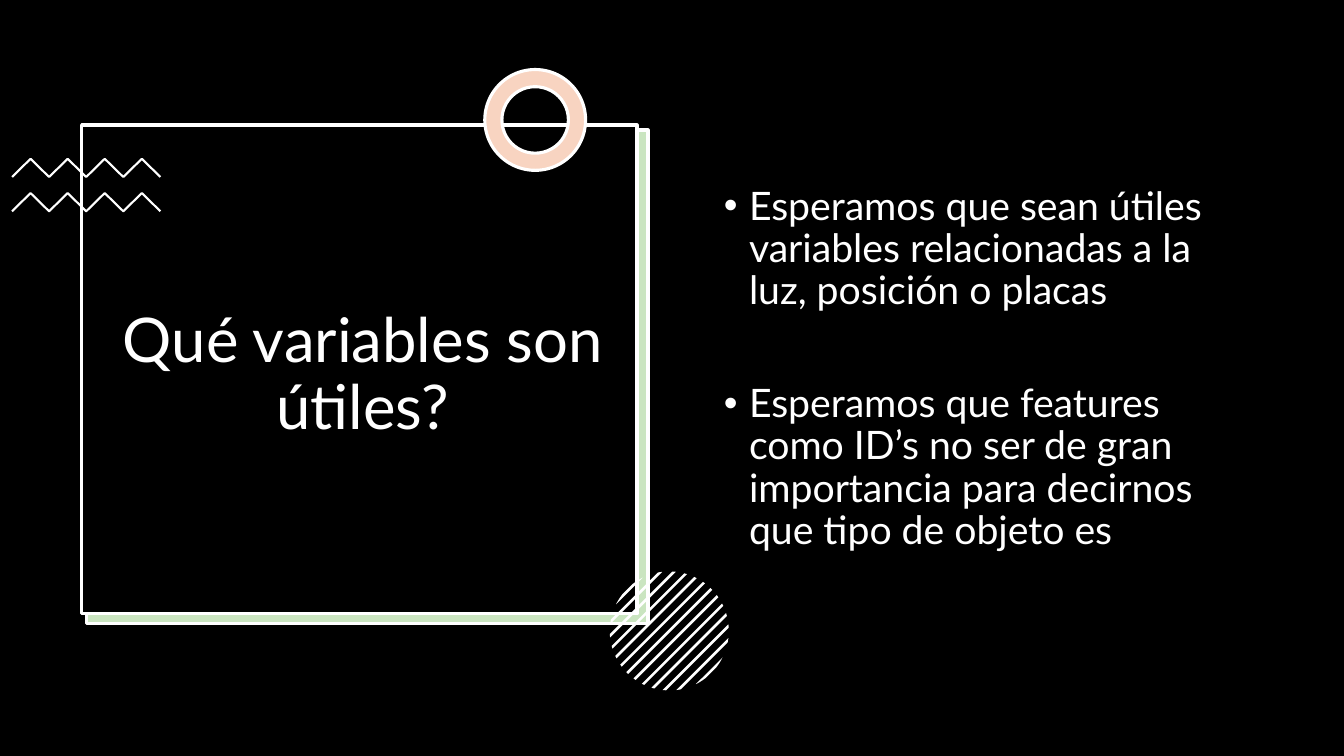
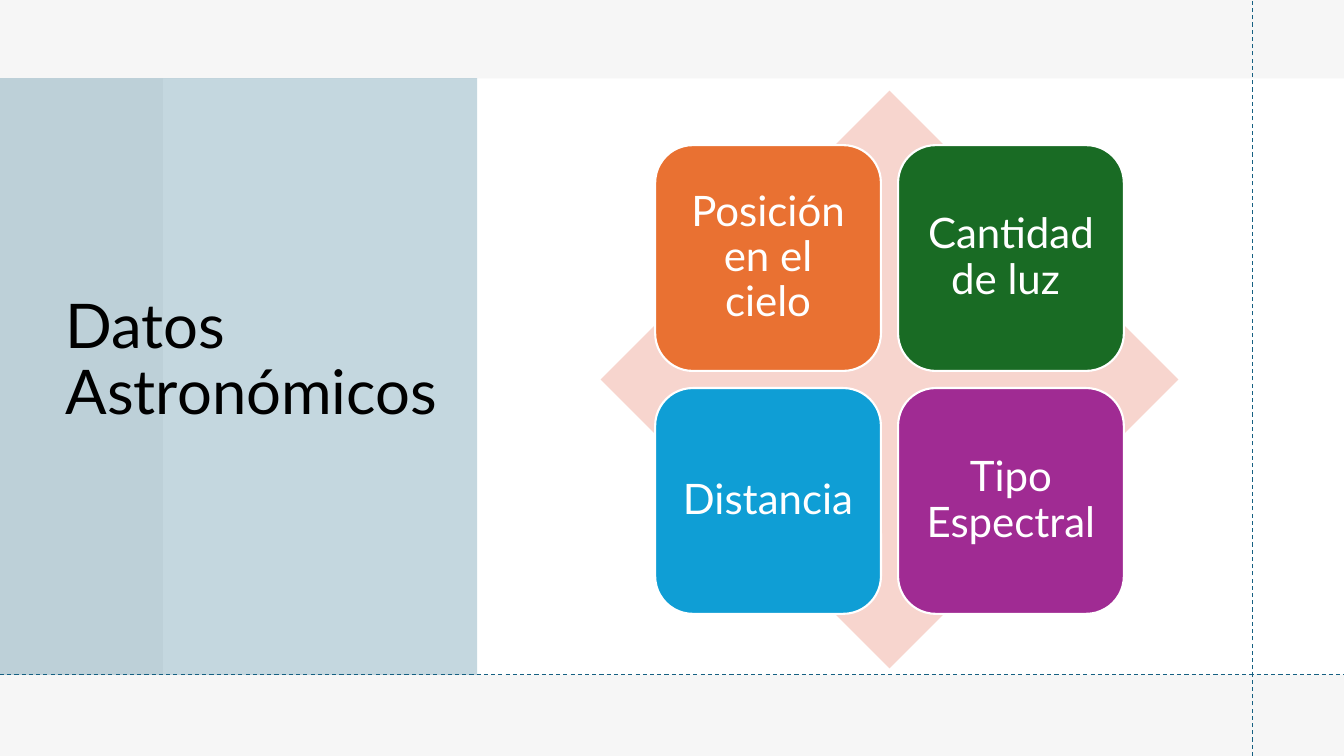
"""Build two slides about useful variables and astronomical data."""
from math import sqrt
from lxml.etree import SubElement
from pptx import Presentation
from pptx.dml.color import RGBColor
from pptx.enum.dml import MSO_LINE
from pptx.enum.shapes import MSO_CONNECTOR, MSO_SHAPE
from pptx.enum.text import MSO_ANCHOR, MSO_AUTO_SIZE, PP_ALIGN
from pptx.oxml.ns import qn
from pptx.util import Pt

USEFUL_TITLE = "Qué variables son útiles?"
EXPECTATIONS = [
    "Esperamos que sean útiles variables relacionadas a la luz, posición o placas",
    "Esperamos que features como ID’s no ser de gran importancia para decirnos que tipo de objeto es",
]
DATA_TITLE = "Datos Astronómicos"
DATA_KINDS = [
    ("Posición en el cielo", "E97132"),
    ("Cantidad de luz ", "196B24"),
    ("Distancia", "0F9ED5"),
    ("Tipo Espectral", "A02B93"),
]

WIDTH, HEIGHT = 960, 540
FONT = "Lato"
TITLE_SIZE = 44
WHITE, BLACK = "FFFFFF", "000000"
GREEN, PEACH, PINK = "CAE5C0", "F8D4C1", "F7D5CE"
BAND, BLUE = "F6F6F6", "156082"

FRAME_SHADOW = (61.9, 92.9, 401, 352.8)
FRAME = (58.3, 89.3, 396.7, 349.2)
RING = (346.3, 49.7, 72, 72)
ZIGZAG = {"left": 8.6, "tops": (113.4, 137.9), "step": 13.25, "rise": 13, "points": 9}
HATCH = {"center": (478.1, 450.7), "radius": 42.5, "pitch": 6.87, "width": 1.85, "side": 6}
DIAMOND_SIZE, TILE_SIZE, TILE_GAP = 412.6, 161.3, 12.2
GRID_CENTER = (635.4, 271.1)


def color(hex_text):
    return RGBColor.from_string(hex_text)


def points(*lengths):
    return [Pt(length) for length in lengths]


def paint(shape, fill=None, line=None, weight=0):
    shape.shadow.inherit = False
    if fill:
        shape.fill.solid()
        shape.fill.fore_color.rgb = color(fill)
    else:
        shape.fill.background()
    if line:
        shape.line.color.rgb = color(line)
        shape.line.width = Pt(weight)
    else:
        shape.line.fill.background()
    return shape


def add_preset(slide, preset, box, fill, line=None, weight=0):
    return paint(slide.shapes.add_shape(preset, *points(*box)), fill, line, weight)


def add_outline(slide, corners, closed, **look):
    first, *rest = [points(*corner) for corner in corners]
    builder = slide.shapes.build_freeform(*first, scale=1.0)
    builder.add_line_segments(rest, close=closed)
    return paint(builder.convert_to_shape(), **look)


def set_background(slide, fill):
    slide.background.fill.solid()
    slide.background.fill.fore_color.rgb = color(fill)


def style_paragraph(paragraph, size, ink, align):
    paragraph.alignment = align
    paragraph.line_spacing = 0.9
    paragraph.space_before = paragraph.space_after = Pt(0)
    for run in paragraph.runs:
        run.font.name = FONT
        run.font.size = Pt(size)
        run.font.color.rgb = color(ink)


def place(slide, placeholder, box, anchor):
    placeholder.left, placeholder.top, placeholder.width, placeholder.height = points(*box)
    slide.shapes.element.append(placeholder.element)
    frame = placeholder.text_frame
    frame.auto_size = MSO_AUTO_SIZE.NONE
    frame.word_wrap = True
    frame.vertical_anchor = anchor
    return frame


def add_title(slide, wording, box, ink, align):
    frame = place(slide, slide.shapes.title, box, MSO_ANCHOR.MIDDLE)
    frame.text = wording
    style_paragraph(frame.paragraphs[0], TITLE_SIZE, ink, align)


def add_bullets(slide, items, box):
    frame = place(slide, slide.placeholders[1], box, MSO_ANCHOR.TOP)
    for index, item in enumerate(items):
        paragraph = frame.add_paragraph() if index else frame.paragraphs[0]
        paragraph.text = item
        properties = paragraph._p.get_or_add_pPr()
        properties.set("marL", str(Pt(18)))
        properties.set("indent", str(-Pt(18)))
        SubElement(properties, qn("a:buFont"), typeface="Arial")
        SubElement(properties, qn("a:buChar"), char="•")
        style_paragraph(paragraph, 28, WHITE, PP_ALIGN.LEFT)
        if index:
            paragraph.space_before = Pt(50.25)


def add_zigzags(slide):
    for top in ZIGZAG["tops"]:
        corners = [
            (ZIGZAG["left"] + i * ZIGZAG["step"], top + ZIGZAG["rise"] * (1 - i % 2))
            for i in range(ZIGZAG["points"])
        ]
        add_outline(slide, corners, False, line=WHITE, weight=1.5)


def add_hatched_circle(slide):
    (x, y), radius = HATCH["center"], HATCH["radius"]

    def rim(offset, end):
        half = end * sqrt(radius**2 - offset**2)
        return x + (offset + half) / sqrt(2), y + (offset - half) / sqrt(2)

    for stripe in range(-HATCH["side"], HATCH["side"] + 1):
        offsets = [stripe * HATCH["pitch"] + HATCH["width"] * k / 4 for k in range(-2, 3)]
        corners = [rim(offset, 1) for offset in offsets]
        corners += [rim(offset, -1) for offset in reversed(offsets)]
        add_outline(slide, corners, True, fill=WHITE)


def add_guide(slide, ends):
    guide = slide.shapes.add_connector(MSO_CONNECTOR.STRAIGHT, *points(*ends))
    guide.line.color.rgb = color(BLUE)
    guide.line.width = Pt(0.75)
    guide.line.dash_style = MSO_LINE.DASH
    SubElement(guide.element.spPr, qn("a:effectLst"))


def add_tiles(slide):
    center_x, center_y = GRID_CENTER
    half = DIAMOND_SIZE / 2
    add_preset(slide, MSO_SHAPE.DIAMOND,
               (center_x - half, center_y - half, DIAMOND_SIZE, DIAMOND_SIZE), PINK)
    pitch = TILE_SIZE + TILE_GAP
    reach = TILE_SIZE + TILE_GAP / 2
    for index, (kind, fill) in enumerate(DATA_KINDS):
        row, column = divmod(index, 2)
        box = (center_x - reach + column * pitch, center_y - reach + row * pitch,
               TILE_SIZE, TILE_SIZE)
        tile = add_preset(slide, MSO_SHAPE.ROUNDED_RECTANGLE, box, fill, WHITE, 1.5)
        frame = tile.text_frame
        frame.word_wrap = True
        frame.vertical_anchor = MSO_ANCHOR.MIDDLE
        frame.margin_left = frame.margin_right = Pt(8.5)
        frame.margin_top = frame.margin_bottom = Pt(8.5)
        frame.text = kind
        style_paragraph(frame.paragraphs[0], 30, WHITE, PP_ALIGN.CENTER)


def build_useful_variables(deck):
    slide = deck.slides.add_slide(deck.slide_layouts[1])
    set_background(slide, BLACK)
    add_preset(slide, MSO_SHAPE.RECTANGLE, FRAME_SHADOW, GREEN, WHITE, 2.25)
    add_preset(slide, MSO_SHAPE.RECTANGLE, FRAME, BLACK, WHITE, 2.25)
    add_zigzags(slide)
    ring = add_preset(slide, MSO_SHAPE.DONUT, RING, PEACH, WHITE, 2.25)
    ring.adjustments[0] = 0.17
    add_hatched_circle(slide)
    add_title(slide, USEFUL_TITLE, (66.2, 109.4, 386, 318.2), WHITE, PP_ALIGN.CENTER)
    add_bullets(slide, EXPECTATIONS, (509.8, 129.5, 391.7, 302.5))


def build_astronomical_data(deck):
    slide = deck.slides.add_slide(deck.slide_layouts[5])
    set_background(slide, BAND)
    add_preset(slide, MSO_SHAPE.RECTANGLE, (116.6, 56, WIDTH - 116.6, 426), WHITE)
    panel = add_preset(slide, MSO_SHAPE.RECTANGLE, (0, 55.8, 340.8, 426.2), BLUE)
    tint = panel.element.spPr.find(qn("a:solidFill"))[0]
    SubElement(tint, qn("a:alpha"), val="25000")
    add_title(slide, DATA_TITLE, (39.6, 53.3, 284.4, 409.7), BLACK, PP_ALIGN.LEFT)
    for ends in [(895, HEIGHT, 895, 0), (0, 481.7, WIDTH, 481.7)]:
        add_guide(slide, ends)
    add_tiles(slide)


def main():
    deck = Presentation()
    deck.slide_width, deck.slide_height = points(WIDTH, HEIGHT)
    build_useful_variables(deck)
    build_astronomical_data(deck)
    deck.save("out.pptx")


if __name__ == "__main__":
    main()
